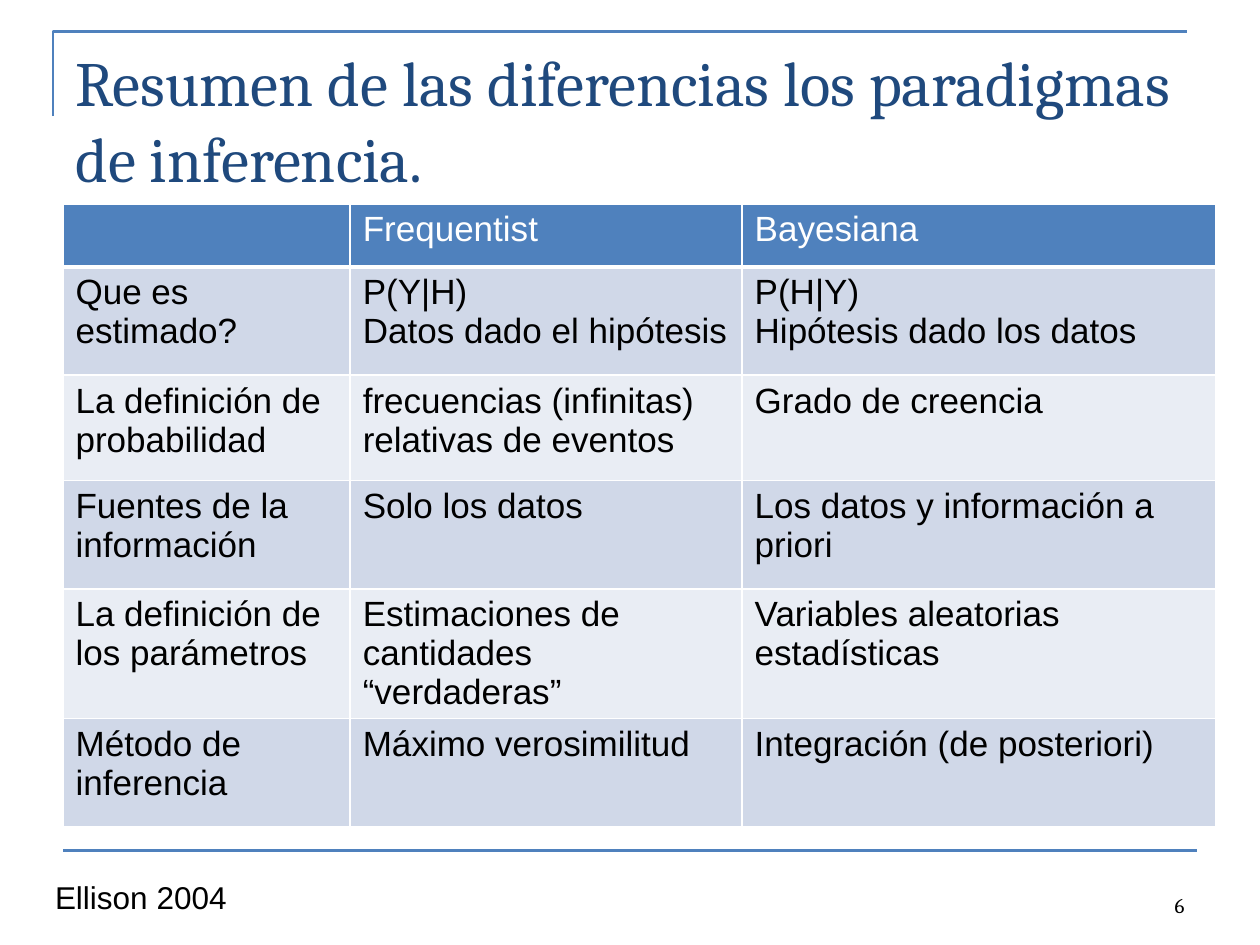
"""Build a slide comparing frequentist and Bayesian inference in a table."""
from dataclasses import dataclass

from lxml.etree import SubElement
from pptx import Presentation
from pptx.dml.color import RGBColor
from pptx.dml.line import LineFormat
from pptx.enum.shapes import MSO_CONNECTOR
from pptx.enum.text import MSO_ANCHOR, PP_ALIGN
from pptx.oxml.ns import qn
from pptx.slide import Slide
from pptx.table import _Cell
from pptx.text.text import TextFrame
from pptx.util import Cm, Pt

BLUE = RGBColor(0x4F, 0x81, 0xBD)
NAVY = RGBColor(0x1F, 0x49, 0x7D)
BLACK = RGBColor(0x00, 0x00, 0x00)
WHITE = RGBColor(0xFF, 0xFF, 0xFF)
BAND_DARK = RGBColor(0xD0, 0xD8, 0xE8)
BAND_LIGHT = RGBColor(0xE9, 0xED, 0xF4)

COLUMN_WIDTHS = (5.79, 7.9, 9.55)
ROW_HEIGHTS = (1.27, 2.18, 2.13, 2.18, 2.18, 2.18)
ROWS = (
    ("", "Frequentist", "Bayesiana"),
    ("Que es estimado?", "P(Y|H)\nDatos dado el hipótesis", "P(H|Y)\nHipótesis dado los datos"),
    ("La definición de probabilidad", "frecuencias (infinitas) relativas de eventos", "Grado de creencia"),
    ("Fuentes de la información", "Solo los datos", "Los datos y información a priori"),
    ("La definición de los parámetros", "Estimaciones de cantidades “verdaderas”",
     "Variables aleatorias estadísticas"),
    ("Método de inferencia", "Máximo verosimilitud", "Integración (de posteriori)"),
)


@dataclass(frozen=True)
class TextStyle:
    font: str
    size: int
    color: RGBColor
    align: PP_ALIGN = PP_ALIGN.LEFT


@dataclass(frozen=True)
class Label:
    text: str
    left: float
    top: float
    width: float
    height: float
    style: TextStyle
    anchor: MSO_ANCHOR = MSO_ANCHOR.TOP


LABELS = (
    Label("Resumen de las diferencias los paradigmas de inferencia.",
          1.27, 0.76, 22.86, 3.18, TextStyle("Cambria", 36, NAVY)),
    Label("6", 18.21, 17.35, 5.92, 1.27,
          TextStyle("Cambria", 12, BLACK, PP_ALIGN.RIGHT), MSO_ANCHOR.BOTTOM),
    Label("Ellison 2004", 0.86, 17.58, 6.32, 1.02, TextStyle("Arial", 18, BLACK)),
)


def write_text(frame: TextFrame, text: str, style: TextStyle) -> None:
    for index, line in enumerate(text.split("\n")):
        para = frame.add_paragraph() if index else frame.paragraphs[0]
        para.alignment = style.align
        para.font.size = Pt(style.size)
        if line:
            span = para.add_run()
            span.text = line
            span.font.name = style.font
            span.font.size = Pt(style.size)
            span.font.bold = False
            span.font.color.rgb = style.color


def add_label(page: Slide, label: Label) -> None:
    box = page.shapes.add_textbox(Cm(label.left), Cm(label.top), Cm(label.width), Cm(label.height))
    frame = box.text_frame
    frame.word_wrap = True
    frame.vertical_anchor = label.anchor
    write_text(frame, label.text, label.style)


def style_rule(line: LineFormat) -> None:
    line.color.rgb = BLUE
    line.width = Pt(1.5)


def add_rules(page: Slide) -> None:
    builder = page.shapes.build_freeform(Cm(1.07), Cm(2.34))
    builder.add_line_segments([(Cm(1.07), Cm(0.64)), (Cm(23.93), Cm(0.64))], close=False)
    corner = builder.convert_to_shape()
    corner.fill.background()
    corner.shadow.inherit = False
    style_rule(corner.line)
    footer_rule = page.shapes.add_connector(
        MSO_CONNECTOR.STRAIGHT, Cm(1.27), Cm(17.15), Cm(24.13), Cm(17.15))
    style_rule(footer_rule.line)
    SubElement(footer_rule._element.spPr, qn("a:effectLst"))


def add_borders(cell: _Cell, bottom_width: int) -> None:
    properties = cell._tc.get_or_add_tcPr()
    for side, width in (("L", 1), ("R", 1), ("T", 1), ("B", bottom_width)):
        border = SubElement(properties, qn(f"a:ln{side}"), w=str(Pt(width)))
        fill = SubElement(border, qn("a:solidFill"))
        SubElement(fill, qn("a:srgbClr"), val=str(WHITE))


def add_comparison(page: Slide) -> None:
    table = page.shapes.add_table(
        len(ROWS), len(COLUMN_WIDTHS), Cm(1.27), Cm(4.11),
        Cm(sum(COLUMN_WIDTHS)), Cm(sum(ROW_HEIGHTS))).table
    table.first_row = False
    table.horz_banding = False
    for column, width in zip(table.columns, COLUMN_WIDTHS):
        column.width = Cm(width)
    for index, (row, height, texts) in enumerate(zip(table.rows, ROW_HEIGHTS, ROWS)):
        row.height = Cm(height)
        is_header = index == 0
        band = BLUE if is_header else (BAND_LIGHT, BAND_DARK)[index % 2]
        style = TextStyle("Arial", 20, WHITE if is_header else BLACK)
        for cell, text in zip(row.cells, texts):
            add_borders(cell, 3 if is_header else 1)
            cell.fill.solid()
            cell.fill.fore_color.rgb = band
            write_text(cell.text_frame, text, style)


def main() -> None:
    deck = Presentation()
    deck.slide_width, deck.slide_height = Cm(25.4), Cm(19.05)
    page = deck.slides.add_slide(deck.slide_layouts[6])
    add_rules(page)
    add_comparison(page)
    for label in LABELS:
        add_label(page, label)
    deck.save("out.pptx")


if __name__ == "__main__":
    main()
